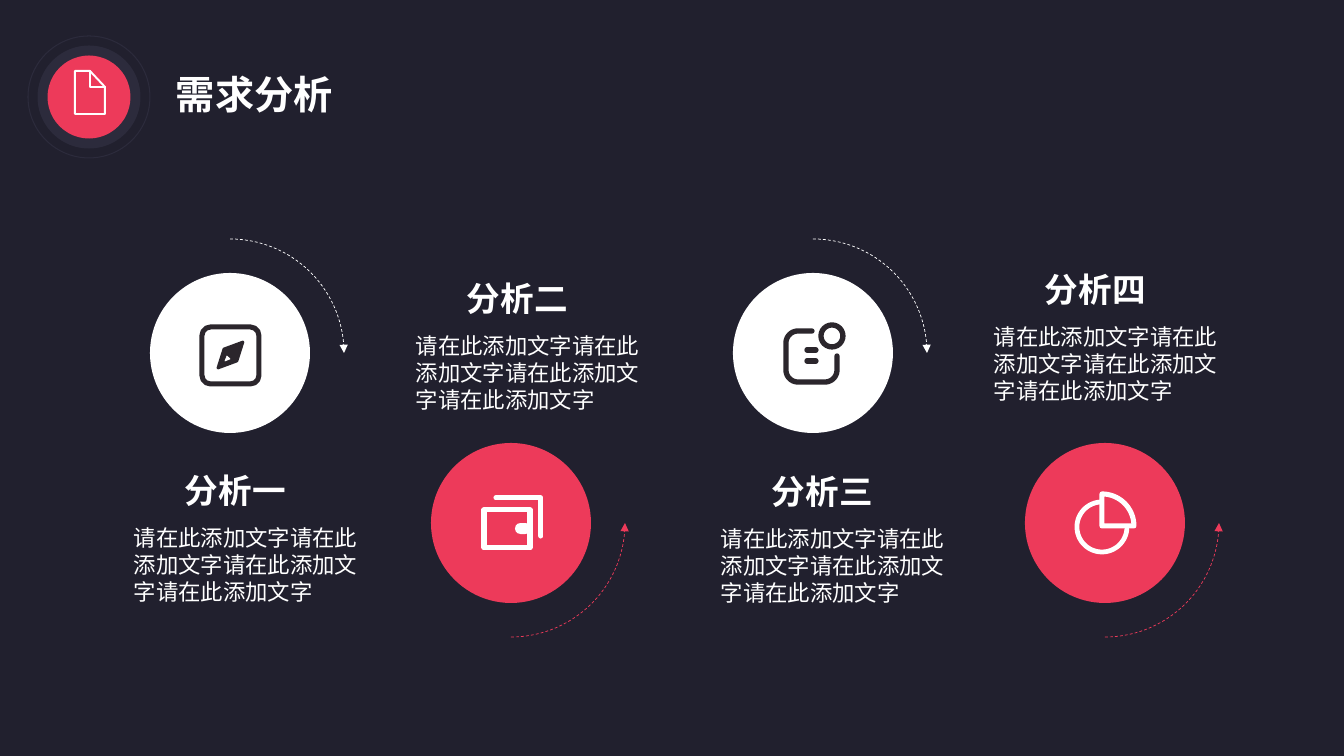
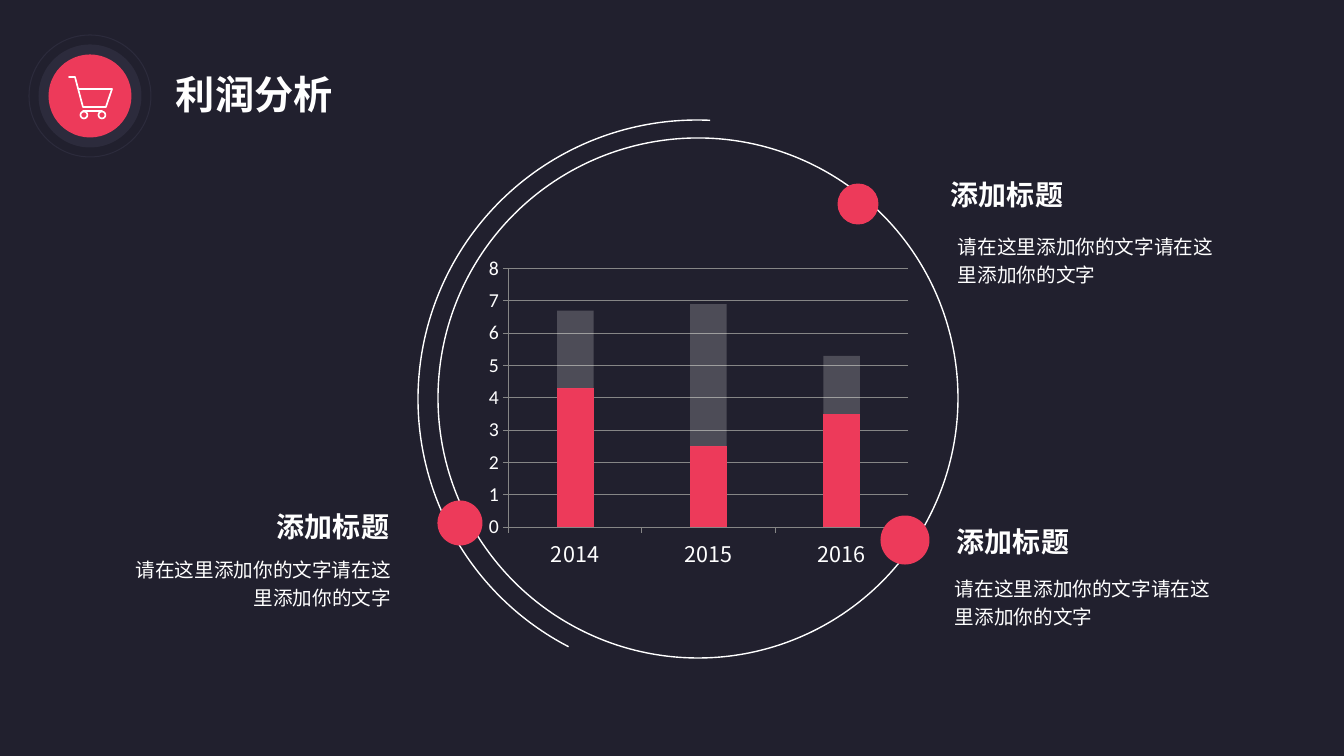
from dataclasses import dataclass
from math import cos, radians, sin
from typing import Callable, Optional

from lxml import etree
from pptx import Presentation
from pptx import util as u
from pptx.chart.data import CategoryChartData
from pptx.dml.color import RGBColor
from pptx.enum import chart as charts
from pptx.enum import dml, shapes, text
from pptx.oxml.ns import qn

PX = 914400 / 100.8
FONT = "Noto Sans CJK SC"
COLORS = {
    "night": "21202E", "halo": "2C2B3C", "pink": "ED3A5A",
    "white": "FFFFFF", "ink": "2B262C", "grid": "868686",
}
OVAL = shapes.MSO_SHAPE.OVAL
ROUNDED = shapes.MSO_SHAPE.ROUNDED_RECTANGLE
Point = tuple[float, float]
Box = tuple[int, int, int, int]


@dataclass
class Step:
    heading: str
    center: tuple[int, int]
    color: str
    arc_start: int
    body_at: tuple[int, int]
    icon: Callable


@dataclass
class Note:
    dot_center: tuple[int, int]
    dot_size: int
    heading_at: tuple[int, int]
    body_at: tuple[int, int]
    align: text.PP_ALIGN = text.PP_ALIGN.LEFT


def px(length: float) -> u.Emu:
    return u.Emu(round(length * PX))


def rgb(color: str) -> RGBColor:
    return RGBColor.from_string(COLORS[color])


def arc_points(center: Point, radius: int, start: int, end: int) -> list[Point]:
    """Points along a circle; angles run clockwise from the right."""
    count = max(6, abs(end - start) // 3)
    angles = [radians(start + (end - start) * i / count) for i in range(count + 1)]
    return [(center[0] + radius * cos(a), center[1] + radius * sin(a)) for a in angles]


def paint(shape, fill: Optional[str], line: Optional[str], width: float) -> None:
    shape.shadow.inherit = False
    if fill:
        shape.fill.solid()
        shape.fill.fore_color.rgb = rgb(fill)
    else:
        shape.fill.background()
    if line:
        shape.line.color.rgb = rgb(line)
        shape.line.width = u.Pt(width)
    else:
        shape.line.fill.background()


def add_preset(page, kind, box: Box, fill: Optional[str] = None,
               line: Optional[str] = None, width: float = 1):
    shape = page.shapes.add_shape(kind, *map(px, box))
    paint(shape, fill, line, width)
    return shape


def add_circle(page, center: tuple[int, int], size: int, fill: Optional[str] = None,
               line: Optional[str] = None, width: float = 1) -> None:
    left, top = (c - size / 2 for c in center)
    add_preset(page, OVAL, (left, top, size, size), fill, line, width)


def add_outline(page, points: list[Point], line: str, width: float,
                closed: bool = False, fill: Optional[str] = None):
    start, *others = [(px(x), px(y)) for x, y in points]
    builder = page.shapes.build_freeform(*start)
    builder.add_line_segments(others, close=closed)
    shape = builder.convert_to_shape()
    paint(shape, fill, line, width)
    shape._element.spPr.find(qn("a:ln")).set("cap", "rnd")
    return shape


def add_line(page, start: Point, end: Point, color: str, width: float) -> None:
    line = page.shapes.add_connector(
        shapes.MSO_CONNECTOR.STRAIGHT, *map(px, (*start, *end)))
    line.line.color.rgb = rgb(color)
    line.line.width = u.Pt(width)
    properties = line._element.spPr
    properties.find(qn("a:ln")).set("cap", "rnd")
    etree.SubElement(properties, qn("a:effectLst"))


def add_text(page, box: Box, words: str, size: int, bold: bool = False,
             align: text.PP_ALIGN = text.PP_ALIGN.LEFT, spacing: float = 1.0) -> None:
    frame = page.shapes.add_textbox(*map(px, box)).text_frame
    frame.word_wrap = True
    para = frame.paragraphs[0]
    para.text = words
    para.alignment = align
    para.line_spacing = spacing
    font = para.font
    font.size, font.bold, font.name = u.Pt(size), bold, FONT
    font.color.rgb = rgb("white")
    defaults = para._p.pPr.find(qn("a:defRPr"))
    etree.SubElement(defaults, qn("a:ea"), typeface=FONT)


def draw_document(page) -> None:
    add_outline(page, [(75, 71), (90, 71), (105, 87), (105, 114), (75, 114)],
                "white", 1.4, closed=True)
    add_outline(page, [(90, 71), (90, 87), (105, 87)], "white", 1.4)


def draw_cart(page) -> None:
    add_outline(page, [(69, 77), (75, 77), (83, 107), (106, 107), (112, 89), (79, 89)],
                "white", 1.2)
    add_line(page, (83, 111), (102, 111), "white", 1.2)
    for x in (84, 102):
        add_circle(page, (x, 115), 7, line="white", width=1.2)


def draw_compass(page) -> None:
    frame = add_preset(page, ROUNDED, (202, 327, 57, 57), line="ink", width=3.6)
    frame.adjustments[0] = 0.15
    add_outline(page, [(218, 368), (224, 349), (243, 342), (237, 361)],
                "ink", 2, closed=True, fill="ink")
    add_outline(page, [(225, 361), (227, 356), (230, 359)],
                "white", 0.5, closed=True, fill="white")


def draw_wallet(page) -> None:
    add_outline(page, [(496, 498), (541, 498), (541, 536)], "white", 3.6)
    add_outline(page, [(484, 510), (530, 510), (530, 548), (484, 548)],
                "white", 3.6, closed=True)
    clasp = add_preset(page, ROUNDED, (515, 523, 16, 11), fill="white")
    clasp.adjustments[0] = 0.5


def draw_note(page) -> None:
    edge = [(812, 331)]
    for center, start in (((798, 343), 270), ((798, 370), 180), ((825, 370), 90)):
        edge += arc_points(center, 12, start, start - 90)
    add_outline(page, edge + [(837, 356)], "ink", 3.8)
    add_circle(page, (832, 336), 22, line="ink", width=3.8)
    for y in (350, 361):
        add_line(page, (807, y), (816, y), "ink", 3.8)


def draw_pie(page) -> None:
    add_outline(page, arc_points((1102, 527), 25, 5, 265), "white", 3.4)
    hub = (1102, 526)
    add_outline(page, [hub, *arc_points(hub, 32, 0, -90)],
                "white", 3.6, closed=True)


STEPS = [
    Step("分析一", (230, 353), "white", -90, (124, 519), draw_compass),
    Step("分析二", (511, 523), "pink", 90, (406, 327), draw_wallet),
    Step("分析三", (813, 353), "white", -90, (711, 520), draw_note),
    Step("分析四", (1105, 523), "pink", 90, (984, 318), draw_pie),
]
NOTES = [
    Note((460, 523), 45, (267, 505), (113, 548), text.PP_ALIGN.RIGHT),
    Note((858, 204), 41, (941, 173), (948, 225)),
    Note((905, 540), 49, (947, 520), (945, 567)),
]


def add_page(deck, title: str, badge_center: tuple[int, int], icon: Callable):
    """Add a page with the dark background, round badge and title."""
    page = deck.slides.add_slide(deck.slide_layouts[6])
    page.background.fill.solid()
    page.background.fill.fore_color.rgb = rgb("night")
    add_circle(page, badge_center, 122, line="halo", width=0.75)
    add_circle(page, badge_center, 103, fill="halo")
    add_circle(page, badge_center, 83, fill="pink")
    icon(page)
    add_text(page, (166, 65, 232, 57), title, 28, bold=True)
    return page


def add_step(page, step: Step) -> None:
    add_circle(page, step.center, 160, fill=step.color)
    sweep = add_outline(page, arc_points(step.center, 114, step.arc_start, 0),
                        step.color, 0.5)
    sweep.line.dash_style = dml.MSO_LINE.DASH
    line = sweep._element.spPr.find(qn("a:ln"))
    line.set("cap", "flat")
    etree.SubElement(line, qn("a:tailEnd"), type="triangle")
    step.icon(page)
    left, top = step.body_at
    add_text(page, (left, top, 257, 92), "请在此添加文字" * 4, 16)
    add_text(page, (left + 51, top - 54, 135, 50), step.heading, 24, bold=True)


def add_note(page, note: Note) -> None:
    add_circle(page, note.dot_center, note.dot_size, fill="pink")
    add_text(page, (*note.heading_at, 184, 45), "添加标题", 20, bold=True)
    add_text(page, (*note.body_at, 288, 99), "请在这里添加你的文字" * 2, 14,
             align=note.align, spacing=1.2)


def add_profit_chart(page) -> None:
    data = CategoryChartData()
    data.categories = ["2014", "2015", "2016"]
    data.add_series("Series 1", (4.3, 2.5, 3.5))
    data.add_series("Series 2", (2.4, 4.4, 1.8))
    chart = page.shapes.add_chart(charts.XL_CHART_TYPE.COLUMN_STACKED,
                                  *map(px, (480, 250, 437, 325)), data).chart
    chart.has_legend = chart.has_title = False
    chart.font.name = "Calibri"
    plot = chart.plots[0]
    plot.gap_width, plot.overlap, plot.vary_by_categories = 264, 100, False
    for series, color in zip(plot.series, ("pink", "white")):
        series.format.fill.solid()
        series.format.fill.fore_color.rgb = rgb(color)
    tint = plot.series[1]._element.find(".//" + qn("a:srgbClr"))
    etree.SubElement(tint, qn("a:alpha"), val="20000")

    values, years = chart.value_axis, chart.category_axis
    values.minimum_scale, values.maximum_scale, values.major_unit = 0, 8, 1
    values.has_major_gridlines = True
    for axis, size, name in ((values, 14.1, "Calibri"), (years, 15.4, FONT)):
        axis.major_tick_mark = charts.XL_TICK_MARK.OUTSIDE
        font = axis.tick_labels.font
        font.size, font.name = u.Pt(size), name
        font.color.rgb = rgb("white")
    for part in (values, years, values.major_gridlines):
        part.format.line.color.rgb = rgb("grid")
        part.format.line.width = u.Pt(0.75)


def main() -> None:
    deck = Presentation()
    deck.slide_width, deck.slide_height = px(1344), px(756)

    needs = add_page(deck, "需求分析", (89, 97), draw_document)
    for step in STEPS:
        add_step(needs, step)

    profit = add_page(deck, "利润分析", (90, 96), draw_cart)
    add_profit_chart(profit)
    add_circle(profit, (698, 398), 520, line="white")
    arc = add_preset(profit, shapes.MSO_SHAPE.ARC, (418, 120, 558, 558), line="white")
    for index, degrees in enumerate((117.4, 272.7)):
        arc.adjustments[index] = degrees * 0.6  # 60000ths of a degree over 100000
    for note in NOTES:
        add_note(profit, note)

    deck.save("out.pptx")


if __name__ == "__main__":
    main()
